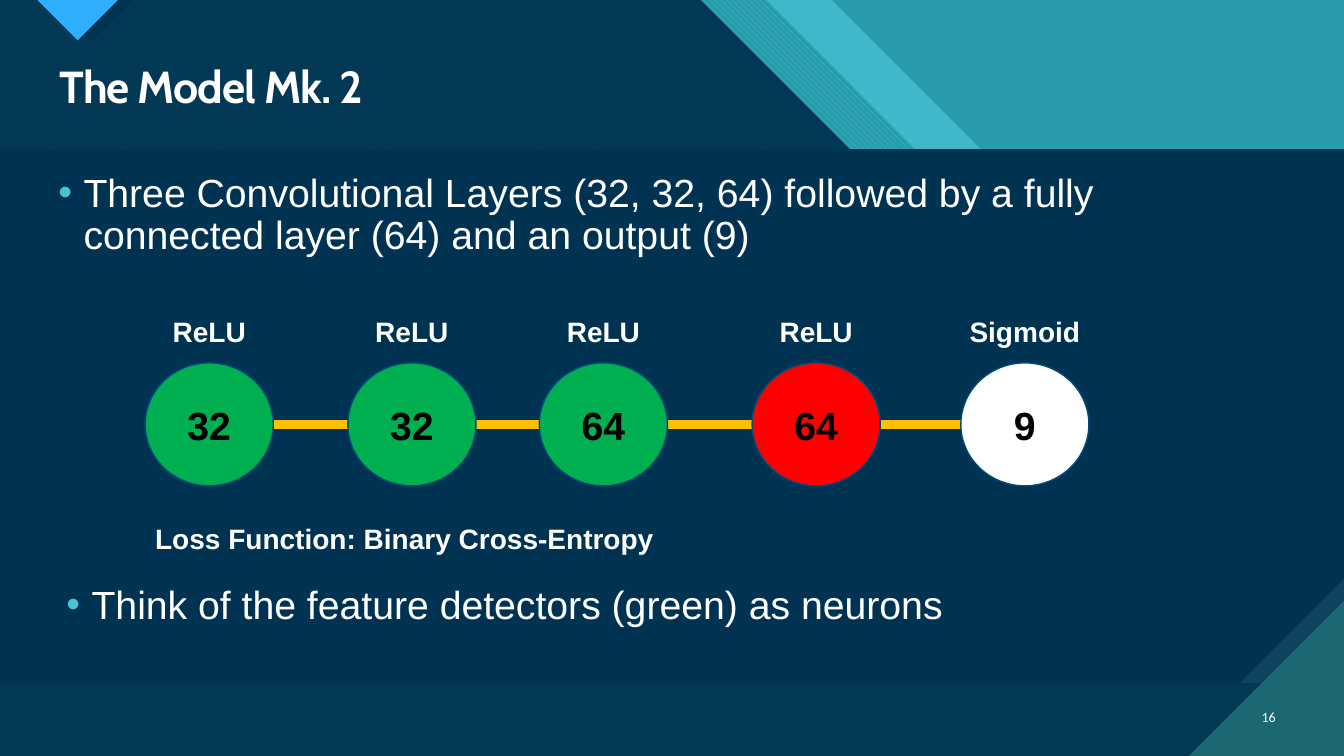
from lxml.etree import SubElement
from pptx import Presentation
from pptx.dml.color import RGBColor
from pptx.enum.dml import MSO_PATTERN_TYPE as PAT
from pptx.enum.shapes import MSO_CONNECTOR, MSO_SHAPE
from pptx.enum.text import MSO_ANCHOR, PP_ALIGN
from pptx.oxml.ns import qn
from pptx.util import Inches, Pt

THEME = {
    "teal": "299CAB", "light": "3FB9C9", "aqua": "47C3D3", "deep": "1B6872",
    "navy": "003352", "weave": "033855", "thread": "07415F", "slate": "0C4360",
    "sky": "2FAFFF", "white": "FFFFFF", "black": "000000", "green": "00B050",
    "red": "FF0000", "gold": "FFC000", "edge": "004B79",
    "title": 32, "body": 28, "label": 20, "page": 10,
}

deck = Presentation()
deck.slide_width, deck.slide_height = Inches(13.33), Inches(7.5)
slide = deck.slides.add_slide(deck.slide_layouts[6])
shapes = slide.shapes

# Grid of 100 columns by 100 rows
COL, ROW = deck.slide_width / 100, deck.slide_height / 100


def rgb(name):
    return RGBColor.from_string(THEME[name])


def write(shape, text, size, color="white", font="Arial", bold=True,
          align=PP_ALIGN.LEFT, anchor=MSO_ANCHOR.TOP):
    frame = shape.text_frame
    frame.text = text
    frame.word_wrap = True
    frame.vertical_anchor = anchor
    para = frame.paragraphs[0]
    para.alignment = align
    face = para.runs[0].font
    face.name, face.size, face.bold = font, Pt(THEME[size]), bold
    face.color.rgb = rgb(color)
    return para


# Backdrop: slanted header bands, footer, panel and corners
slide.background.fill.solid()
slide.background.fill.fore_color.rgb = rgb("teal")

TOP, FOOT, SLANT = 19.73, 90.4, 11.1
dark = (PAT.WIDE_UPWARD_DIAGONAL, "thread", "weave")
stripe = (PAT.WIDE_DOWNWARD_DIAGONAL, "aqua", "teal")
bands = [(61.88, "light"), (57, stripe), (52.13, dark)]
areas = [([(0, 0), (x, 0), (x + SLANT, TOP), (0, TOP)], paint)
         for x, paint in bands]
areas += [
    ([(0, FOOT), (100, FOOT), (100, 100), (0, 100)], dark),
    ([(0, TOP), (100, TOP), (100, FOOT), (0, FOOT)], "slate"),
    ([(0, TOP), (100, TOP), (100, 76.53), (92.2, FOOT), (0, FOOT)], "navy"),
    ([(88.45, 100), (100, 100), (100, 79.47)], "deep"),
    ([(3.6, 0), (9.83, 0), (6.75, 5.47)], "navy"),
    ([(2.78, 0), (8.78, 0), (5.78, 5.33)], "sky"),
]
for spots, paint in areas:
    spots = [(x * COL, y * ROW) for x, y in spots]
    pen = shapes.build_freeform(*spots[0])
    pen.add_line_segments(spots[1:], close=True)
    area = pen.convert_to_shape()
    area.shadow.inherit = False
    area.line.fill.background()
    if isinstance(paint, str):
        area.fill.solid()
        area.fill.fore_color.rgb = rgb(paint)
    else:
        area.fill.patterned()
        area.fill.pattern = paint[0]
        area.fill.fore_color.rgb = rgb(paint[1])
        area.fill.back_color.rgb = rgb(paint[2])

# Title and page number
box = shapes.add_textbox(3.68 * COL, 7.87 * ROW, 91.97 * COL, 7.87 * ROW)
head = write(box, "The Model Mk. 2", "title", font="Cabin")
head.line_spacing = 0.9
head.runs[0].font._element.set("spc", "-70")
box = shapes.add_textbox(92.35 * COL, 92.13 * ROW, 3.3 * COL, 5.33 * ROW)
write(box, "16", "page", font="Calibri", bold=False,
      align=PP_ALIGN.RIGHT, anchor=MSO_ANCHOR.MIDDLE)

# Bullets
points = [
    (3.6, 22.27, "Three Convolutional Layers (32, 32, 64) followed by a fully "
                 "connected layer (64) and an output (9)"),
    (4.2, 76.8, "Think of the feature detectors (green) as neurons"),
]
for x, y, text in points:
    box = shapes.add_textbox(x * COL, y * ROW, 83.42 * COL, 17.6 * ROW)
    para = write(box, text, "body", bold=False)
    para.line_spacing, para.space_before = 0.9, Pt(10)
    props = para._p.get_or_add_pPr()
    props.set("marL", str(Inches(0.25)))
    props.set("indent", str(-Inches(0.25)))
    tint = SubElement(props, qn("a:buClr"))
    SubElement(tint, qn("a:srgbClr")).set("val", THEME["aqua"])
    SubElement(props, qn("a:buFont")).set("typeface", "Arial")
    SubElement(props, qn("a:buChar")).set("char", "•")

# Loss function
box = shapes.add_textbox(10.8 * COL, 68.27 * ROW, 54.69 * COL, 5.87 * ROW)
write(box, "Loss Function: Binary Cross-Entropy", "label")

# Network: one line behind five layers
WIDE, HIGH, CREST = 9.53, 16.27, 48
layers = [
    (10.8, "32", "green", "ReLU"),
    (25.88, "32", "green", "ReLU"),
    (40.13, "64", "green", "ReLU"),
    (55.96, "64", "red", "ReLU"),
    (71.49, "9", "white", "Sigmoid"),
]
mid = int((CREST + HIGH / 2) * ROW)
link = shapes.add_connector(MSO_CONNECTOR.STRAIGHT, int(layers[0][0] * COL), mid,
                            int((layers[-1][0] + WIDE) * COL), mid)
link.line.color.rgb = rgb("gold")
link.line.width = Pt(6)
SubElement(link._element.spPr, qn("a:effectLst"))

for x, count, color, name in layers:
    node = shapes.add_shape(MSO_SHAPE.OVAL, x * COL, CREST * ROW,
                            WIDE * COL, HIGH * ROW)
    node.shadow.inherit = False
    node.fill.solid()
    node.fill.fore_color.rgb = rgb(color)
    node.line.color.rgb = rgb("edge")
    node.line.width = Pt(1)
    write(node, count, "body", "black", align=PP_ALIGN.CENTER,
          anchor=MSO_ANCHOR.MIDDLE)
    box = shapes.add_textbox((x - 0.26) * COL, 40.93 * ROW,
                             (WIDE + 0.52) * COL, 5.87 * ROW)
    write(box, name, "label", align=PP_ALIGN.CENTER)

deck.save("out.pptx")
